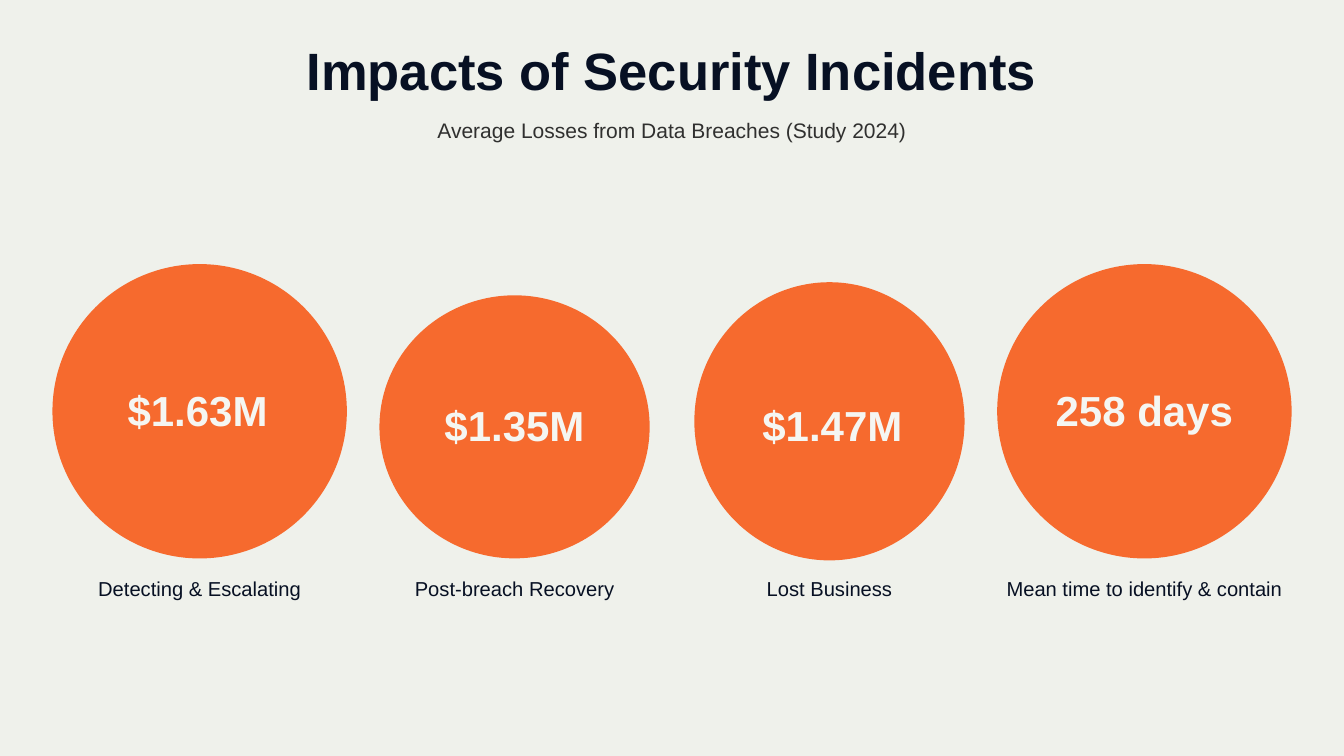
"""Build the slide on the impacts of security incidents."""
from pptx import Presentation
from pptx.dml.color import RGBColor as RGB
from pptx.enum.shapes import MSO_SHAPE as SHAPE
from pptx.enum.text import MSO_ANCHOR as ANCHOR, PP_ALIGN as ALIGN
from pptx.util import Inches, Pt

PAPER = RGB(0xEF, 0xF1, 0xEB)
NAVY = RGB(0x07, 0x10, 0x23)
GREY = RGB(0x30, 0x30, 0x2F)
ORANGE = RGB(0xF6, 0x6A, 0x2E)
CREAM = RGB(0xF5, 0xF6, 0xF2)

WIDTH = 13.33
FIRST, LAST = 1.98, 11.35
LOSSES = [
    ("$1.63M", "Detecting & Escalating", 2.62, 2.92, 2.92, 3.85, -0.02),
    ("$1.35M", "Post-breach Recovery", 2.93, 2.68, 2.61, 4.0, 0),
    ("$1.47M", "Lost Business", 2.8, 2.68, 2.76, 4.0, 0.03),
    ("258 days", "Mean time to identify & contain", 2.62, 2.92, 2.92, 3.85, 0),
]


def place(shape, mid, top, width, height):
    """Put a shape at a top edge, centred on a horizontal middle."""
    shape.left, shape.top = Inches(mid - width / 2), Inches(top)
    shape.width, shape.height = Inches(width), Inches(height)


def write(shape, text, size, lead, color=NAVY, bold=False):
    """Fill a shape with one centred line of formatted text."""
    frame = shape.text_frame
    frame.word_wrap = True
    frame.vertical_anchor = ANCHOR.TOP
    frame.margin_left = frame.margin_right = 0
    frame.margin_top = frame.margin_bottom = 0
    line = frame.paragraphs[0]
    line.alignment = ALIGN.CENTER
    line.line_spacing = Pt(lead)
    run = line.add_run()
    run.text = text
    font = run.font
    font.name, font.size, font.bold = "Arial", Pt(size), bold
    font.color.rgb = color


def add_text(slide, text, mid, top, width, height, **style):
    """Add a text box holding one line."""
    box = slide.shapes.add_textbox(0, 0, 0, 0)
    place(box, mid, top, width, height)
    write(box, text, **style)


def add_disc(slide, mid, top, width, height):
    """Add an orange disc."""
    disc = slide.shapes.add_shape(SHAPE.OVAL, 0, 0, 0, 0)
    place(disc, mid, top, width, height)
    disc.shadow.inherit = False
    disc.fill.solid()
    disc.fill.fore_color.rgb = ORANGE
    disc.line.fill.background()


def main():
    """Build and save the slide."""
    deck = Presentation()
    deck.slide_width, deck.slide_height = Inches(WIDTH), Inches(7.5)
    slide = deck.slides.add_slide(deck.slide_layouts[5])
    slide.background.fill.solid()
    slide.background.fill.fore_color.rgb = PAPER

    title = slide.shapes.title
    place(title, WIDTH / 2, 0.42, WIDTH, 0.58)
    write(title, "Impacts of Security Incidents", size=37.5, lead=42, bold=True)
    add_text(slide, "Average Losses from Data Breaches (Study 2024)",
             WIDTH / 2, 1.12, WIDTH, 0.29, size=15, lead=21, color=GREY)

    step = (LAST - FIRST) / (len(LOSSES) - 1)
    for i, (value, label, top, width, height, row, shift) in enumerate(LOSSES):
        mid = FIRST + i * step
        add_disc(slide, mid, top, width, height)
        add_text(slide, label, mid, 5.68, 3.21, 0.28, size=14.4, lead=20.2)
        add_text(slide, value, mid + shift, row, 2.5, 0.47,
                 size=30, lead=33.6, color=CREAM, bold=True)

    deck.save("out.pptx")


if __name__ == "__main__":
    main()
